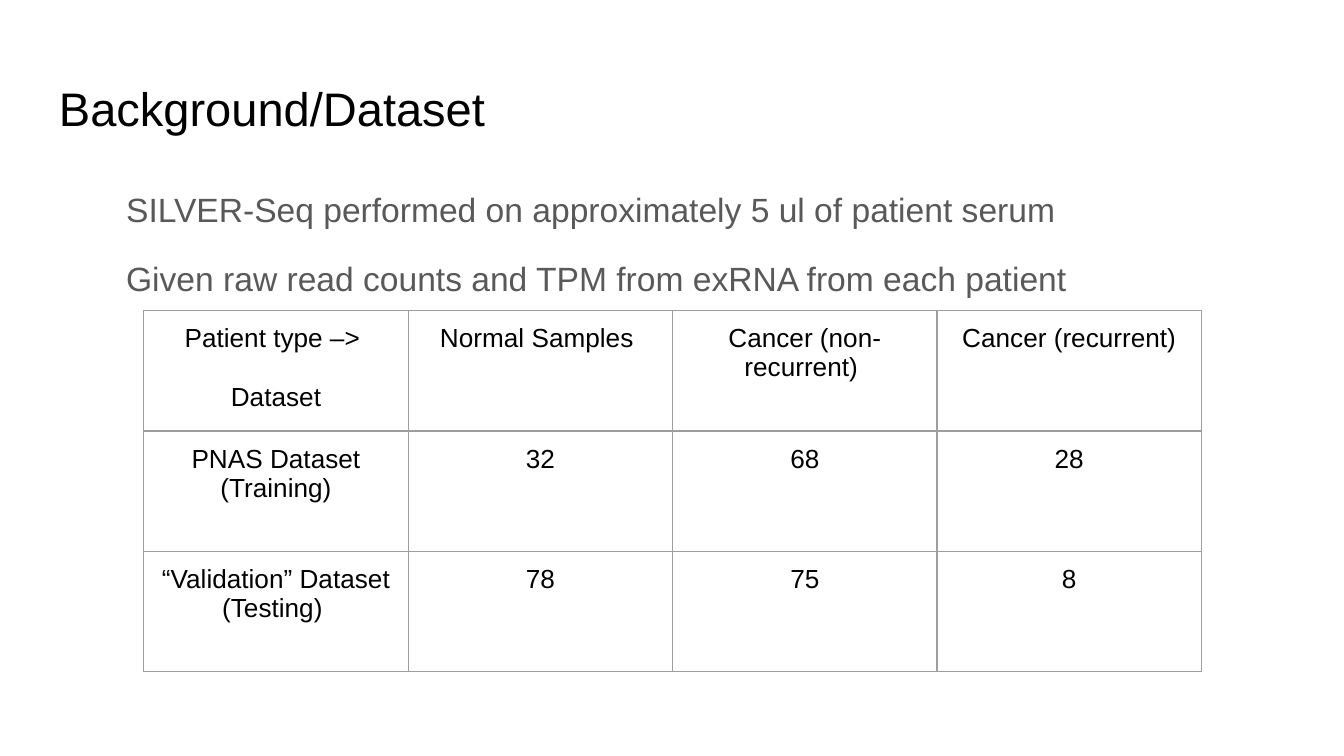
from lxml import etree
from pptx import Presentation
from pptx.dml.color import RGBColor
from pptx.enum.text import PP_ALIGN
from pptx.oxml.ns import qn
from pptx.util import Inches, Pt

CENTER = PP_ALIGN.CENTER
FONT = "Arial"
COLORS = {"text": "000000", "body": "595959", "border": "9E9E9E"}
INSET = 0.1
BORDER_WIDTH = 0.75
BLANK_LINE = 16  # points of space, one line of 14 pt text

HEADER = [["Patient type –> ", "Dataset"], ["Normal Samples "],
          ["Cancer (non-recurrent) "], ["Cancer (recurrent)"]]
DATASETS = [
    [["PNAS Dataset", "(Training)"], ["32"], ["68"], ["28"]],
    [["“Validation” Dataset", "(Testing) "], ["78"], ["75"], ["8"]],
]


def add_run(paragraph, text, size, color):
    run = paragraph.add_run()
    run.text = text
    run.font.name = FONT
    run.font.size = Pt(size)
    run.font.color.rgb = RGBColor.from_string(COLORS[color])


def set_margins(holder):
    for side in ("left", "top", "right", "bottom"):
        setattr(holder, f"margin_{side}", Inches(INSET))


def add_paragraphs(text_frame, lines, size, color):
    """Write one paragraph per line and return the paragraphs."""
    for index, line in enumerate(lines):
        paragraph = text_frame.add_paragraph() if index else text_frame.paragraphs[0]
        add_run(paragraph, line, size, color)
    return text_frame.paragraphs


def add_text_box(slide, box, lines, size, color):
    text_frame = slide.shapes.add_textbox(*map(Inches, box)).text_frame
    text_frame.word_wrap = True
    set_margins(text_frame)
    return add_paragraphs(text_frame, lines, size, color)


def add_title(slide, box):
    add_text_box(slide, box, ["Background/Dataset"], 25.2, "text")


def add_body(slide, box):
    lines = ["SILVER-Seq performed on approximately 5 ul of patient serum",
             "Given raw read counts and TPM from exRNA from each patient"]
    paragraphs = add_text_box(slide, box, lines, 18, "body")
    for paragraph in paragraphs:
        paragraph.line_spacing = 1.15
        paragraph._p.get_or_add_pPr().set("marL", str(Inches(0.5)))
    paragraphs[-1].space_before = paragraphs[-1].space_after = Pt(12)


def set_borders(cell):
    """Draw all four sides; line elements must precede the cell's fill."""
    properties = cell._tc.get_or_add_tcPr()
    for index, side in enumerate(("lnL", "lnR", "lnT", "lnB")):
        line = etree.Element(qn(f"a:{side}"), w=str(Pt(BORDER_WIDTH)))
        fill = etree.SubElement(line, qn("a:solidFill"))
        etree.SubElement(fill, qn("a:srgbClr"), val=COLORS["border"])
        properties.insert(index, line)


def add_sample_table(slide, box):
    rows = [HEADER, *DATASETS]
    table = slide.shapes.add_table(len(rows), len(HEADER), *map(Inches, box)).table
    table.first_row = table.horz_banding = False
    for row_index, row in enumerate(rows):
        for column_index, lines in enumerate(row):
            cell = table.cell(row_index, column_index)
            set_margins(cell)
            cell.fill.background()
            set_borders(cell)
            for paragraph in add_paragraphs(cell.text_frame, lines, 14, "text"):
                paragraph.alignment = CENTER
    # Gap between the two labels of the corner cell
    table.cell(0, 0).text_frame.paragraphs[1].space_before = Pt(BLANK_LINE)


def main():
    presentation = Presentation()
    # Widescreen, 16:9
    presentation.slide_width = Inches(10)
    presentation.slide_height = presentation.slide_width * 9 // 16
    slide = presentation.slides.add_slide(presentation.slide_layouts[6])
    add_title(slide, (0.34, 0.49, 9.32, 0.63))
    add_body(slide, (0.34, 1.26, 9.32, 3.74))
    add_sample_table(slide, (1.07, 2.31, 7.87, 2.69))
    presentation.save("out.pptx")


if __name__ == "__main__":
    main()
